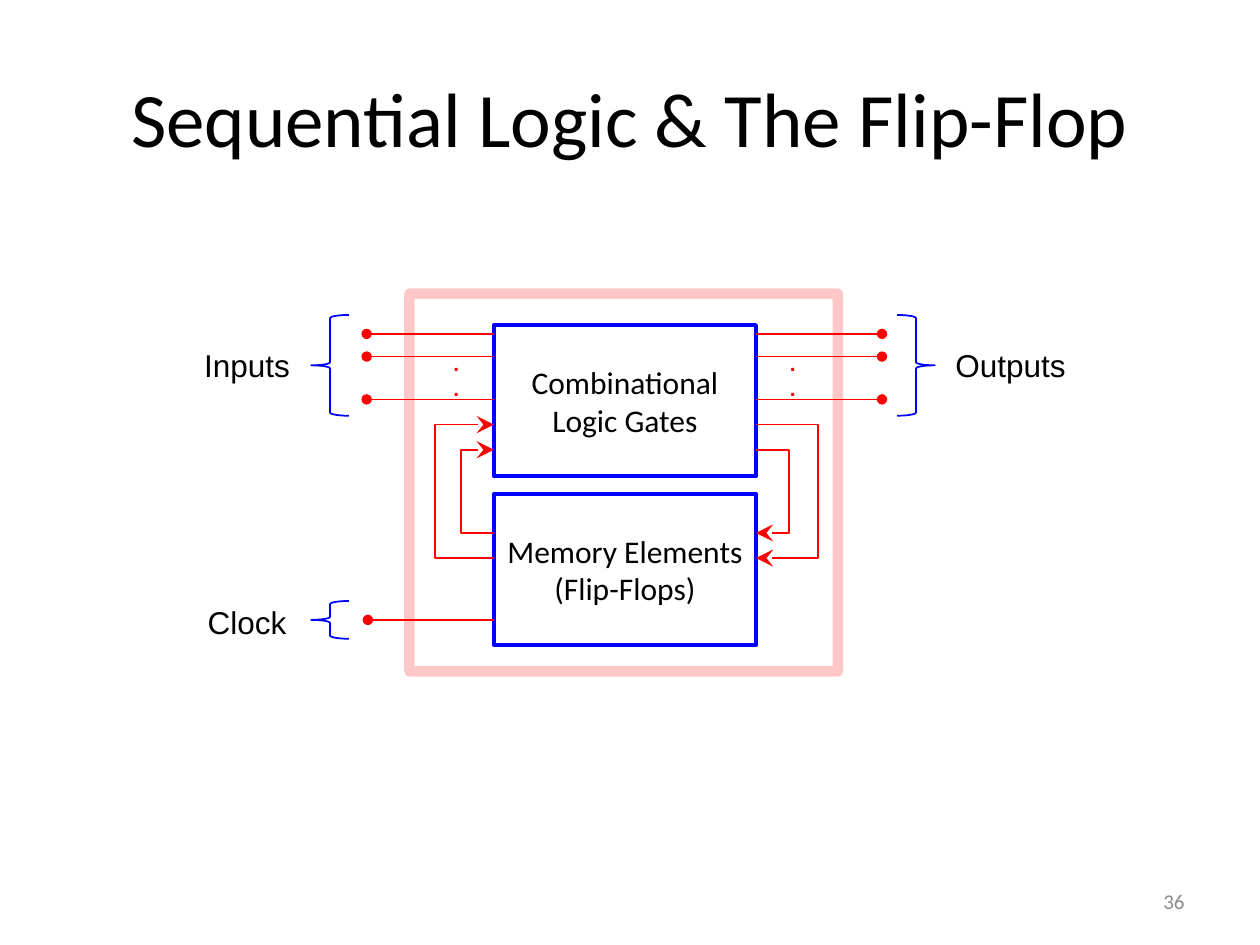
from lxml import etree
from pptx import Presentation
from pptx.dml.color import RGBColor
from pptx.enum.shapes import MSO_CONNECTOR, MSO_SHAPE
from pptx.enum.text import MSO_ANCHOR, PP_ALIGN
from pptx.oxml.ns import qn
from pptx.util import Inches, Pt

RECT, LINE = MSO_SHAPE.RECTANGLE, MSO_CONNECTOR.STRAIGHT
LEFT_BRACE, RIGHT_BRACE = MSO_SHAPE.LEFT_BRACE, MSO_SHAPE.RIGHT_BRACE
LEFT, CENTER, RIGHT = PP_ALIGN.LEFT, PP_ALIGN.CENTER, PP_ALIGN.RIGHT
TOP, MIDDLE = MSO_ANCHOR.TOP, MSO_ANCHOR.MIDDLE
BLACK, GRAY, BLUE, RED = "000000", "8C8C8C", "0000FF", "FF0000"


def color(code):
    return RGBColor.from_string(code)


def write(frame, text, size=18, font="Calibri", ink=BLACK, bold=False,
          align=CENTER, anchor=MIDDLE, wrap=True):
    frame.word_wrap = wrap
    frame.vertical_anchor = anchor
    for i, row in enumerate(text.split("\n")):
        para = frame.paragraphs[0] if i == 0 else frame.add_paragraph()
        para.alignment = align
        run = para.add_run()
        run.text = row
        run.font.size, run.font.name, run.font.bold = Pt(size), font, bold
        run.font.color.rgb = color(ink)


class Sketch:
    def __init__(self, slide):
        self.shapes = slide.shapes

    def stroke(self, item, ink, width, end=None, size="med"):
        item.line.color.rgb = color(ink)
        item.line.width = Pt(width)
        if end:
            etree.SubElement(item.line._get_or_add_ln(), qn("a:tailEnd"),
                             type=end, w=size, len=size)

    def label(self, text, x, y, w, h, **style):
        box = self.shapes.add_textbox(*map(Inches, (x, y, w, h)))
        write(box.text_frame, text, **style)

    def shape(self, kind, x, y, w, h, ink=BLUE, width=1, text=""):
        item = self.shapes.add_shape(kind, *map(Inches, (x, y, w, h)))
        item.shadow.inherit = False
        item.fill.background()
        self.stroke(item, ink, width)
        if text:
            write(item.text_frame, text)
        return item

    def wire(self, x1, x2, y):
        item = self.shapes.add_connector(LINE, *map(Inches, (x1, y, x2, y)))
        self.stroke(item, RED, 1, "oval")
        etree.SubElement(item._element.spPr, qn("a:effectLst"))

    def loop(self, edge, side, start, stop):
        points = [(edge, start), (side, start), (side, stop), (edge, stop)]
        spots = [(Inches(x), Inches(y)) for x, y in points]
        path = self.shapes.build_freeform(*spots[0])
        path.add_line_segments(spots[1:], close=False)
        item = path.convert_to_shape()
        item.shadow.inherit = False
        item.fill.background()
        self.stroke(item, RED, 1, "stealth", "lg")

    def frame(self, x, y, w, h, alpha):
        item = self.shape(RECT, x, y, w, h, RED, 6)
        tint = item._element.spPr.find(".//" + qn("a:ln")).find(".//" + qn("a:srgbClr"))
        etree.SubElement(tint, qn("a:alpha"), val=str(alpha * 1000))


def main():
    deck = Presentation()
    deck.slide_width, deck.slide_height = Inches(10), Inches(7.5)
    art = Sketch(deck.slides.add_slide(deck.slide_layouts[6]))

    # Title and page number
    art.label("Sequential Logic & The Flip-Flop", 0, 0.3, 10, 1.25, size=44)
    art.label("36", 7.17, 6.95, 2.33, 0.4, size=12, ink=GRAY, align=RIGHT)

    # Logic and memory blocks
    west, east = 3.92, 6
    for text, y in (("Combinational\nLogic Gates", 2.58),
                    ("Memory Elements\n(Flip-Flops)", 3.92)):
        art.shape(RECT, west, y, east - west, 1.2, width=2.25, text=text)

    # Input and output wires, with dots for those left out
    for edge, tip, dots in ((west, 2.91, 3.5), (east, 7, 6.17)):
        for y in (2.65, 2.83, 3.17):
            art.wire(edge, tip, y)
        art.label(".\n.", dots, 2.73, 0.25, 0.5, size=12, font="Arial",
                  ink=RED, bold=True, align=LEFT, anchor=TOP, wrap=False)
    art.wire(west, 2.92, 4.92)

    # Feedback loops: memory to logic on the left, logic to memory on the right
    for low, high, left, right in ((4.23, 3.57, 3.66, 6.26),
                                   (4.43, 3.37, 3.45, 6.49)):
        art.loop(west, left, low, high)
        art.loop(east, right, high, low)

    # Braces and their names
    for kind, x, y, h in ((LEFT_BRACE, 2.47, 2.5, 0.8),
                          (RIGHT_BRACE, 7.12, 2.5, 0.8),
                          (LEFT_BRACE, 2.47, 4.77, 0.3)):
        art.shape(kind, x, y, 0.3, h)
    for text, x, y, w in (("Inputs", 1.5, 2.7, 0.92),
                          ("Outputs", 7.43, 2.7, 1.18),
                          ("Clock", 1.5, 4.74, 0.92)):
        art.label(text, x, y, w, 0.4, font="Arial", anchor=TOP)

    # Pale frame round the circuit
    art.frame(3.25, 2.33, 3.4, 3, alpha=21)
    deck.save("out.pptx")


if __name__ == "__main__":
    main()
